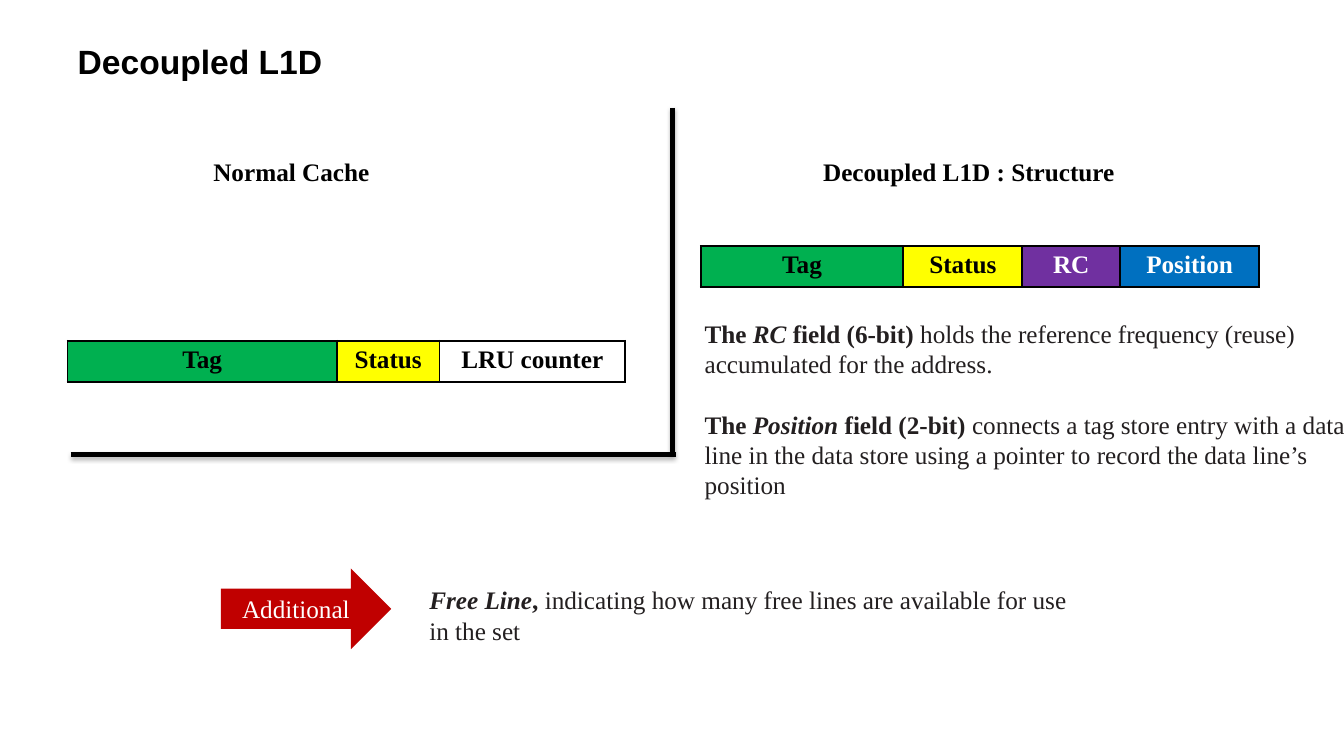
from lxml import etree
from pptx import Presentation
from pptx.dml.color import RGBColor
from pptx.enum.shapes import MSO_CONNECTOR, MSO_SHAPE
from pptx.enum.text import MSO_ANCHOR, PP_ALIGN
from pptx.oxml import parse_xml
from pptx.oxml.ns import nsdecls, qn
from pptx.util import Inches, Pt

BLACK = RGBColor(0x00, 0x00, 0x00)
WHITE = RGBColor(0xFF, 0xFF, 0xFF)
INK = RGBColor(0x23, 0x1F, 0x20)
GREEN = RGBColor(0x00, 0xB0, 0x50)
YELLOW = RGBColor(0xFF, 0xFF, 0x00)
PURPLE = RGBColor(0x70, 0x30, 0xA0)
BLUE = RGBColor(0x00, 0x70, 0xC0)
RED = RGBColor(0xC0, 0x00, 0x00)
SERIF = "Times New Roman"

# Content
TITLE = "Decoupled L1D"
HEADINGS = [  # text, left, width
    ("Normal Cache", 1.39, 3),
    ("Decoupled L1D : Structure", 7.73, 3.76),
]
ENTRIES = [  # left, top, fields (name, width, fill, text colour)
    (0.67, 3.38, [("Tag", 2.67, GREEN, BLACK), ("Status", 1.02, YELLOW, BLACK),
                  ("LRU counter", 1.84, None, BLACK)]),
    (6.95, 2.44, [("Tag", 2.01, GREEN, BLACK), ("Status", 1.18, YELLOW, BLACK),
                  ("RC", 0.97, PURPLE, WHITE), ("Position", 1.38, BLUE, WHITE)]),
]
# Runs are (text, bold, italic)
FIELD_NOTES = [
    [("The ", True, False), ("RC", True, True), (" field (6-bit) ", True, False),
     ("holds the reference frequency (reuse) accumulated for the address.", False, False)],
    [("The ", True, False), ("Position ", True, True), ("field (2-bit) ", True, False),
     ("connects a tag store entry with a data line in the data store using a pointer "
      "to record the data line’s position", False, False)],
]
FREE_LINE_NOTE = [
    [("Free Line", True, True), (", ", True, False),
     ("indicating how many free lines are available for use in the set", False, False)],
]
DIVIDERS = [(6.67, 1.07, 6.67, 4.49), (0.7, 4.51, 6.7, 4.51)]
ROW_HEIGHT = 0.41


def add_run(p, text, color, bold=False, italic=False, font=SERIF, size=18):
    r = p.add_run()
    r.text = text
    r.font.name, r.font.size = font, Pt(size)
    r.font.bold, r.font.italic = bold, italic
    r.font.color.rgb = color


def add_text(slide, box, paragraphs, color, align=PP_ALIGN.LEFT, anchor=MSO_ANCHOR.TOP):
    tf = slide.shapes.add_textbox(*map(Inches, box)).text_frame
    tf.word_wrap = True
    tf.vertical_anchor = anchor
    for i, runs in enumerate(paragraphs):
        p = tf.paragraphs[0] if i == 0 else tf.add_paragraph()
        p.alignment = align
        if i:
            p.space_before = Pt(21.6)
        for text, bold, italic in runs:
            add_run(p, text, color, bold, italic)


def add_divider(slide, ends):
    line = slide.shapes.add_connector(MSO_CONNECTOR.STRAIGHT, *map(Inches, ends))
    line.line.color.rgb = BLACK
    line.line.width = Pt(3)
    line._element.spPr.append(parse_xml(
        f'<a:effectLst {nsdecls("a")}><a:outerShdw blurRad="{Pt(3.1)}" dist="{Pt(1.8)}" '
        'dir="5400000" rotWithShape="0"><a:srgbClr val="000000"><a:alpha val="35000"/>'
        '</a:srgbClr></a:outerShdw></a:effectLst>'))


def add_borders(cell):
    tcPr = cell._tc.get_or_add_tcPr()
    for i, side in enumerate(("lnL", "lnR", "lnT", "lnB")):
        ln = etree.Element(qn(f"a:{side}"), w=str(Pt(1.5)))
        fill = etree.SubElement(ln, qn("a:solidFill"))
        etree.SubElement(fill, qn("a:srgbClr"), val=str(BLACK))
        tcPr.insert(i, ln)


def add_entry(slide, left, top, fields):
    width = sum(field[1] for field in fields)
    table = slide.shapes.add_table(1, len(fields), Inches(left), Inches(top),
                                   Inches(width), Inches(ROW_HEIGHT)).table
    table.first_row = table.horz_banding = False
    for i, (name, col_width, fill, color) in enumerate(fields):
        table.columns[i].width = Inches(col_width)
        cell = table.cell(0, i)
        if fill is None:
            cell.fill.background()
        else:
            cell.fill.solid()
            cell.fill.fore_color.rgb = fill
        add_borders(cell)
        p = cell.text_frame.paragraphs[0]
        p.alignment = PP_ALIGN.CENTER
        add_run(p, name, color, bold=True)


prs = Presentation()
prs.slide_width, prs.slide_height = Inches(13.33), Inches(7.5)
slide = prs.slides.add_slide(prs.slide_layouts[5])

# Title
title = slide.shapes.title
title.left, title.top, title.width, title.height = map(Inches, (0.67, 0.3, 12, 0.61))
tf = title.text_frame
tf.vertical_anchor = MSO_ANCHOR.MIDDLE
p = tf.paragraphs[0]
p.alignment = PP_ALIGN.LEFT
add_run(p, TITLE, BLACK, bold=True, font="Arial", size=24)

# Dividers, headings and cache entries
for ends in DIVIDERS:
    add_divider(slide, ends)
for text, left, width in HEADINGS:
    add_text(slide, (left, 1.45, width, 0.51), [[(text, True, False)]], BLACK,
             PP_ALIGN.CENTER, MSO_ANCHOR.MIDDLE)
for left, top, fields in ENTRIES:
    add_entry(slide, left, top, fields)

# Explanations
add_text(slide, (6.89, 3.11, 6.67, 1.92), FIELD_NOTES, INK)
add_text(slide, (4.16, 5.75, 6.67, 0.71), FREE_LINE_NOTE, INK)

# Arrow
sp = slide.shapes.add_shape(MSO_SHAPE.RIGHT_ARROW, *map(Inches, (2.19, 5.64, 1.69, 0.8)))
sp.shadow.inherit = False
sp.fill.solid()
sp.fill.fore_color.rgb = RED
sp.line.fill.background()
tf = sp.text_frame
tf.word_wrap = True
tf.vertical_anchor = MSO_ANCHOR.MIDDLE
p = tf.paragraphs[0]
p.alignment = PP_ALIGN.CENTER
add_run(p, "Additional", WHITE)

prs.save("out.pptx")
